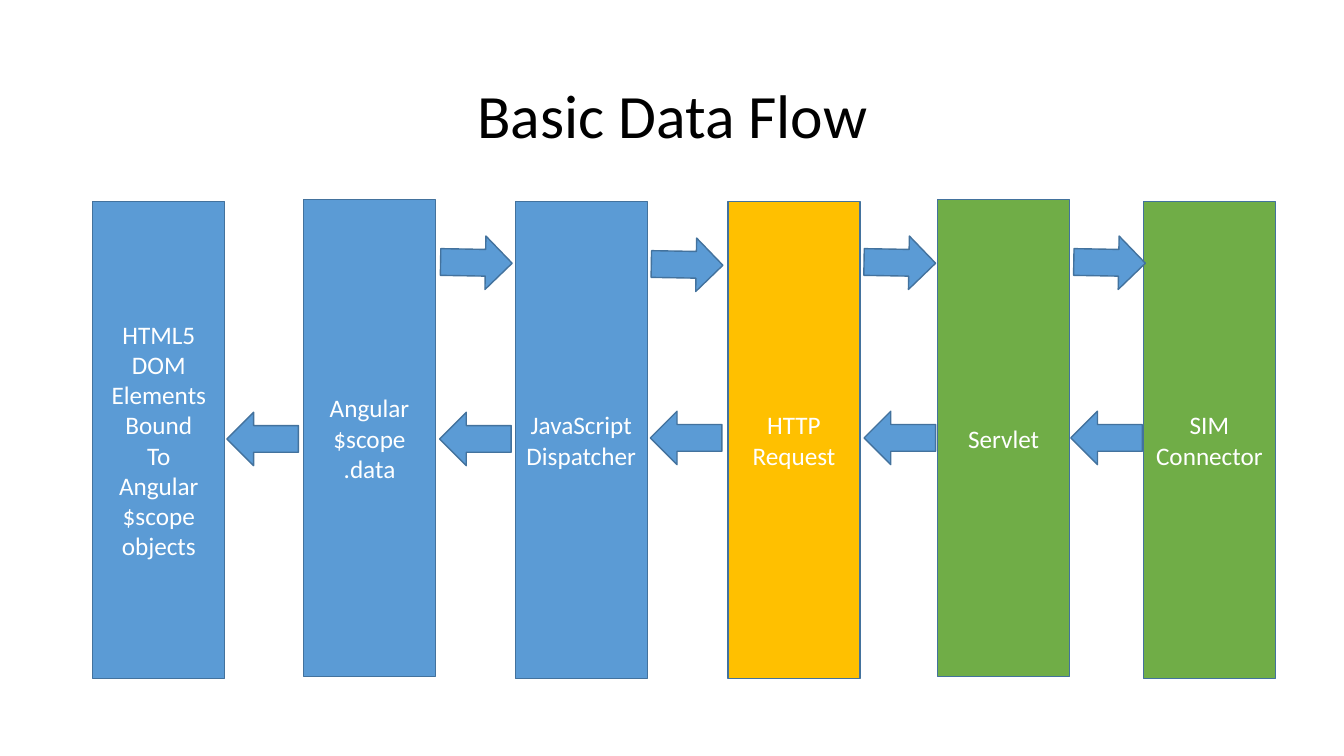
from dataclasses import dataclass

from pptx import Presentation
from pptx.dml.color import RGBColor
from pptx.enum.shapes import MSO_SHAPE
from pptx.enum.text import MSO_ANCHOR, PP_ALIGN
from pptx.util import Inches, Pt

RECT = MSO_SHAPE.RECTANGLE
ARROW = MSO_SHAPE.LEFT_ARROW
MIDDLE = MSO_ANCHOR.MIDDLE
CENTER = PP_ALIGN.CENTER
TITLE_ONLY = 5


@dataclass(frozen=True)
class Theme:
    font: str = "Calibri"
    title_size: int = 44
    body_size: int = 18
    line_width: int = 1
    black: str = "000000"
    white: str = "FFFFFF"
    blue: str = "5B9BD5"
    gold: str = "FFC000"
    green: str = "70AD47"
    edge: str = "43729D"


THEME = Theme()
STAGE_SIZE = (1.31, 4.73)
ARROW_SIZE = (0.71, 0.53)
FORWARD_TURN = 181

# left, top, fill, lines of text
STAGES = [
    (0.92, 2, THEME.blue,
     "HTML5\nDOM\nElements\nBound\nTo\nAngular\n$scope\nobjects"),
    (3.01, 1.98, THEME.blue, "Angular\n$scope\n.data"),
    (5.11, 2, THEME.blue, "JavaScript\nDispatcher"),
    (7.22, 2, THEME.gold, "HTTP\nRequest"),
    (9.3, 1.98, THEME.green, "Servlet"),
    (11.34, 2, THEME.green, "SIM\nConnector"),
]
BACK_ARROWS = [(2.25, 4.09), (4.36, 4.09), (6.45, 4.08), (8.57, 4.08),
               (10.62, 4.08)]
FORWARD_ARROWS = [(4.37, 2.34), (6.46, 2.36), (8.57, 2.34), (10.65, 2.34)]


def set_text(frame, text, size, color):
    frame.text = text
    frame.word_wrap = True
    frame.vertical_anchor = MIDDLE
    for line in frame.paragraphs:
        line.alignment = CENTER
        line.font.name = THEME.font
        line.font.size = Pt(size)
        line.font.color.rgb = RGBColor.from_string(color)


def add_title(slide, text):
    title = slide.shapes.title
    title.left, title.top = Inches(0.92), Inches(0.4)
    title.width, title.height = Inches(11.5), Inches(1.45)
    set_text(title.text_frame, text, THEME.title_size, THEME.black)


def add_block(slide, kind, left, top, size, fill):
    """Add a filled, outlined preset shape without a shadow."""
    block = slide.shapes.add_shape(
        kind, Inches(left), Inches(top), *map(Inches, size))
    block.shadow.inherit = False
    block.fill.solid()
    block.fill.fore_color.rgb = RGBColor.from_string(fill)
    block.line.color.rgb = RGBColor.from_string(THEME.edge)
    block.line.width = Pt(THEME.line_width)
    return block


def add_stage(slide, left, top, fill, text):
    stage = add_block(slide, RECT, left, top, STAGE_SIZE, fill)
    set_text(stage.text_frame, text, THEME.body_size, THEME.white)


def add_arrow(slide, left, top, turn=0):
    arrow = add_block(slide, ARROW, left, top, ARROW_SIZE, THEME.blue)
    arrow.rotation = turn


def main():
    deck = Presentation()
    deck.slide_width, deck.slide_height = Inches(13.33), Inches(7.5)
    slide = deck.slides.add_slide(deck.slide_layouts[TITLE_ONLY])
    add_title(slide, "Basic Data Flow")
    for stage in STAGES:
        add_stage(slide, *stage)
    for spot in BACK_ARROWS:
        add_arrow(slide, *spot)
    for spot in FORWARD_ARROWS:
        add_arrow(slide, *spot, FORWARD_TURN)
    deck.save("out.pptx")


if __name__ == "__main__":
    main()
